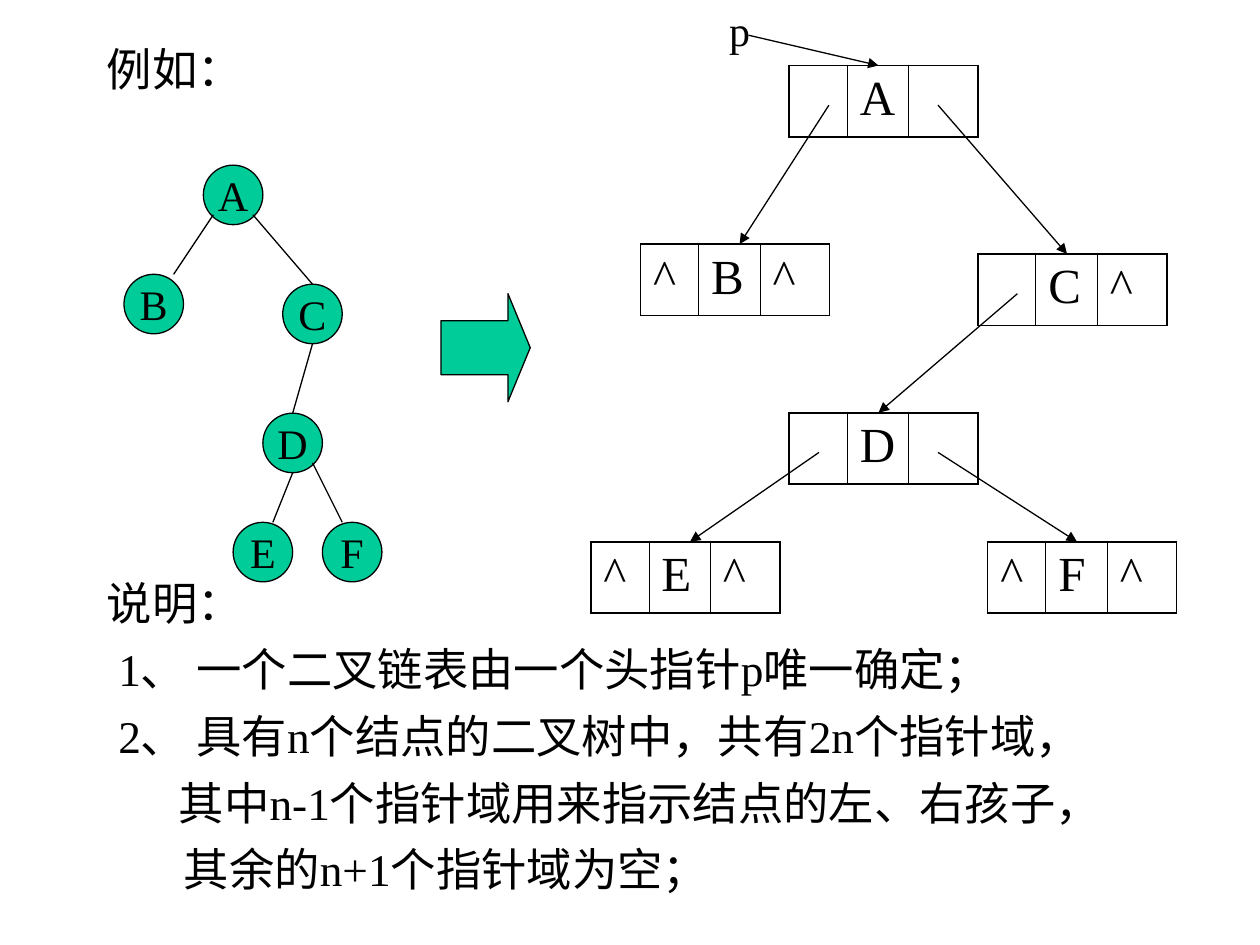
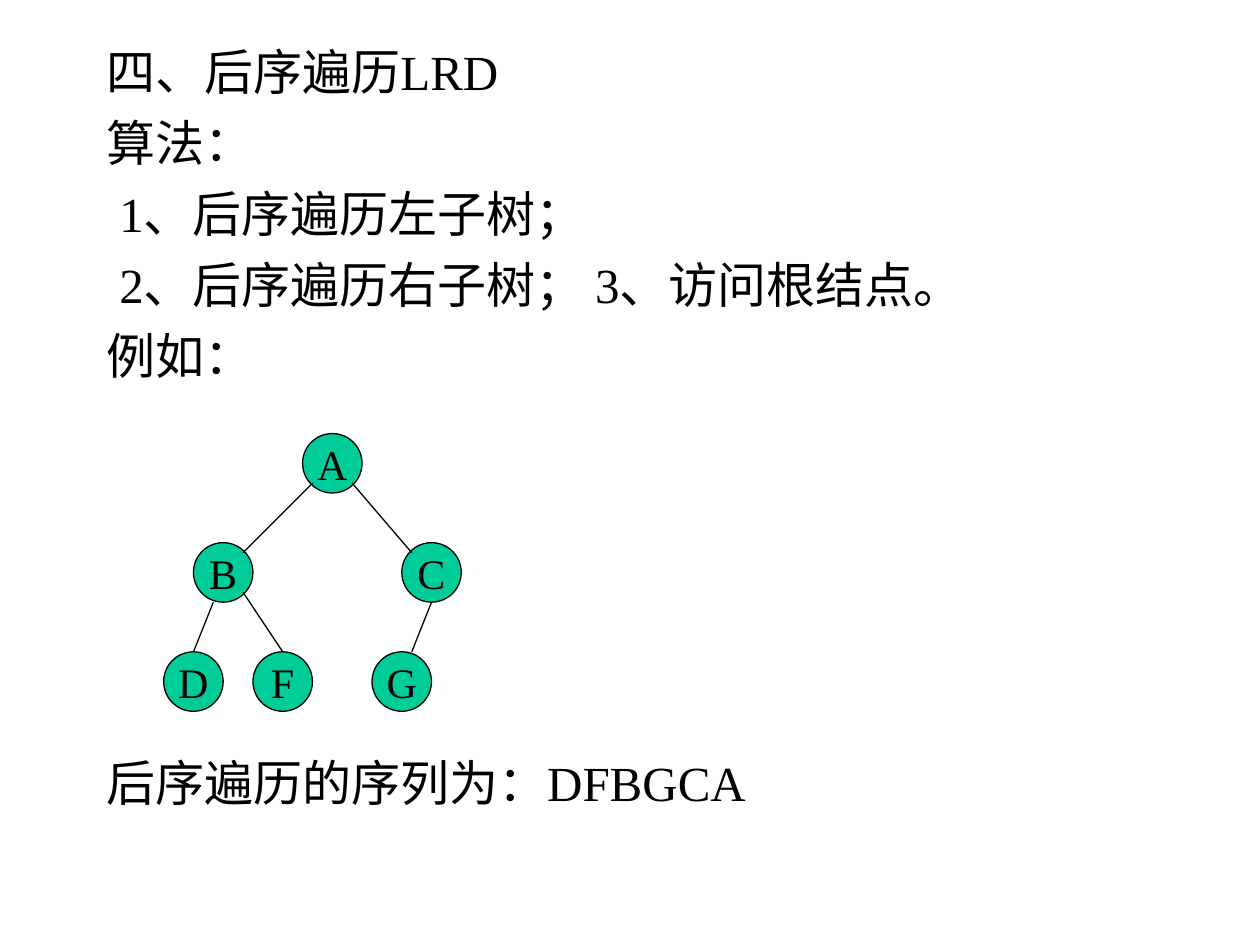
from dataclasses import dataclass

from lxml.etree import SubElement
from pptx import Presentation
from pptx.dml.color import RGBColor
from pptx.enum.lang import MSO_LANGUAGE_ID as Lang
from pptx.enum.shapes import MSO_CONNECTOR as Connector, MSO_SHAPE as Shape
from pptx.enum.text import MSO_ANCHOR as Anchor, MSO_AUTO_SIZE as AutoSize, PP_ALIGN as Align
from pptx.oxml.ns import qn
from pptx.util import Cm, Pt


@dataclass(frozen=True)
class Theme:
    font: str = "Times New Roman"
    ink: RGBColor = RGBColor(0x00, 0x00, 0x00)
    accent: RGBColor = RGBColor(0x00, 0xCC, 0x99)
    compact_size: float = 25.9
    text_size: float = 28
    node_size: float = 24
    para_gap: float = 7
    line: float = 0.75
    outer_border: float = 1.08
    inner_border: float = 0.45


THEME = Theme()
NODE = 1.2
TOP_CENTRE = (0.6, 0)
CELL_WIDTHS = (1.17, 1.24, 1.4)
CELL_HEIGHT = 1.44

LINK_TREE = {"A": (1.6, 0), "B": (0, 2.2), "C": (3.2, 2.4),
             "D": (2.8, 5), "E": (2.2, 7.2), "F": (4, 7.2)}
LINK_TREE_EDGES = [("A", (0.2, 1), "B", (1, 0)),
                   ("A", (1, 1), "C", TOP_CENTRE),
                   ("C", (0.6, 1.2), "D", TOP_CENTRE),
                   ("D", (0.6, 1.2), "E", (0.8, 0)),
                   ("D", (1, 1), "F", (0.4, 0))]
RECORDS = {"A": (4, 0, "", ""), "B": (1, 3.6, "^", "^"), "C": (7.8, 3.8, "", "^"),
           "D": (4, 7, "", ""), "E": (0, 9.6, "^", "^"), "F": (8, 9.6, "^", "^")}
POINTERS = [("A", 0.8, "B", 2), ("A", 3, "C", 1.8), ("C", 0.8, "D", 1.8),
            ("D", 0.6, "E", 2), ("D", 3, "F", 1.8)]
ORDER_TREE = {"A": (2.8, 0), "B": (0.6, 2.2), "C": (4.8, 2.2),
              "D": (0, 4.4), "F": (1.8, 4.4), "G": (4.2, 4.4)}
ORDER_TREE_EDGES = [("A", (0.2, 1), "B", (1, 0.2)),
                    ("A", (1, 1), "C", (0.2, 0.2)),
                    ("B", (0.4, 1.2), "D", TOP_CENTRE),
                    ("B", (1, 1), "F", TOP_CENTRE),
                    ("C", (0.6, 1.2), "G", (0.8, 0))]


def style_runs(p, size):
    for r in p.runs:
        r.font.name = THEME.font
        r.font.size = Pt(size)
        r.font.color.rgb = THEME.ink
        r.font.language_id = Lang.SIMPLIFIED_CHINESE


def place(sp, left, top, width, height):
    sp.left, sp.top, sp.width, sp.height = Cm(left), Cm(top), Cm(width), Cm(height)


def outline(sp):
    sp.line.color.rgb = THEME.ink
    sp.line.width = Pt(THEME.line)


def add_filled(slide, kind, left, top, width, height):
    sp = slide.shapes.add_shape(kind, Cm(left), Cm(top), Cm(width), Cm(height))
    sp.shadow.inherit = False
    sp.fill.solid()
    sp.fill.fore_color.rgb = THEME.accent
    outline(sp)
    return sp


def add_line(slide, start, end, arrow=False):
    line = slide.shapes.add_connector(Connector.STRAIGHT, *map(Cm, start + end))
    outline(line)
    if arrow:
        SubElement(line._element.spPr.find(qn("a:ln")), qn("a:tailEnd"), type="triangle")
    SubElement(line._element.spPr, qn("a:effectLst"))
    return line


def add_title(slide, text, size):
    title = slide.shapes.title
    place(title, 1.9, 0.71, 22.6, 1.4)
    tf = title.text_frame
    tf.text = text
    tf.auto_size = AutoSize.NONE
    tf.vertical_anchor = Anchor.TOP
    tf.paragraphs[0].alignment = Align.LEFT
    style_runs(tf.paragraphs[0], size)


def add_body(slide, box, lines, size):
    body = slide.placeholders[1]
    place(body, *box)
    tf = body.text_frame
    tf.auto_size = AutoSize.NONE
    tf.text = "\n".join(text for text, _, _ in lines)
    for i, (p, (_, indent, gap)) in enumerate(zip(tf.paragraphs, lines)):
        pPr = p._p.get_or_add_pPr()
        pPr.set("marL", str(Cm(indent)))
        pPr.set("indent", "0")
        SubElement(pPr, qn("a:buNone"))
        p.space_before = Pt(gap if i else 0)
        style_runs(p, size)


def add_tree(slide, left, top, nodes, edges):
    circles = {}
    for name, (x, y) in nodes.items():
        sp = add_filled(slide, Shape.OVAL, left + x, top + y, NODE, NODE)
        tf = sp.text_frame
        tf.text = name
        tf.word_wrap = False
        tf.vertical_anchor = Anchor.MIDDLE
        tf.paragraphs[0].alignment = Align.CENTER
        style_runs(tf.paragraphs[0], THEME.node_size)
        circles[name] = sp

    def point(name, offset):
        x, y = nodes[name]
        return left + x + offset[0], top + y + offset[1]

    for parent, start, child, end in edges:
        line = add_line(slide, point(parent, start), point(child, end))
        if end == TOP_CENTRE:
            line.end_connect(circles[child], 0)


def set_border(tcPr, side, width):
    ln = SubElement(tcPr, qn(f"a:{side}"), w=str(Pt(width)))
    SubElement(SubElement(ln, qn("a:solidFill")), qn("a:srgbClr"), val=str(THEME.ink))


def add_record(slide, left, top, texts):
    frame = slide.shapes.add_table(1, len(texts), Cm(left), Cm(top),
                                   Cm(sum(CELL_WIDTHS)), Cm(CELL_HEIGHT))
    table = frame.table
    table.first_row = table.horz_banding = False
    table.rows[0].height = Cm(CELL_HEIGHT)
    last = len(texts) - 1
    for i, text in enumerate(texts):
        table.columns[i].width = Cm(CELL_WIDTHS[i])
        cell = table.cell(0, i)
        cell.text = text
        style_runs(cell.text_frame.paragraphs[0], THEME.text_size)
        tcPr = cell._tc.get_or_add_tcPr()
        outer_sides = {"lnT", "lnB"} | ({"lnL"} if i == 0 else set()) | ({"lnR"} if i == last else set())
        for side in ("lnL", "lnR", "lnT", "lnB"):
            set_border(tcPr, side, THEME.outer_border if side in outer_sides else THEME.inner_border)
        cell.fill.background()


def add_linked_list(slide, left, top):
    for name, (x, y, left_link, right_link) in RECORDS.items():
        add_record(slide, left + x, top + y, (left_link, name, right_link))

    def point(name, dx, dy=0):
        x, y = RECORDS[name][:2]
        return left + x + dx, top + y + dy

    for parent, start, child, end in POINTERS:
        add_line(slide, point(parent, start, 0.8), point(child, end), arrow=True)

    head = slide.shapes.add_textbox(Cm(left + 2.54), Cm(top - 1.35), Cm(0.91), Cm(1.27))
    tf = head.text_frame
    tf.word_wrap = False
    tf.auto_size = AutoSize.SHAPE_TO_FIT_TEXT
    tf.text = "p"
    style_runs(tf.paragraphs[0], THEME.node_size)
    add_line(slide, (left + 3.18, top - 0.61), point("A", 1.8), arrow=True)


def build_linked_list_slide(prs):
    slide = prs.slides.add_slide(prs.slide_layouts[1])
    gap = THEME.para_gap
    add_title(slide, "例如：", THEME.compact_size)
    add_body(slide, (1.9, 11.46, 22.6, 7.5), [
        ("说明：", 0, gap),
        ("1、 一个二叉链表由一个头指针p唯一确定；", 0.23, gap),
        ("2、 具有n个结点的二叉树中，共有2n个指针域，", 0.23, gap),
        ("其中n-1个指针域用来指示结点的左、右孩子，", 1.45, gap),
        ("其余的n+1个指针域为空；", 1.55, gap),
    ], THEME.compact_size)
    add_tree(slide, 2.5, 3.33, LINK_TREE, LINK_TREE_EDGES)
    add_linked_list(slide, 11.91, 1.32)
    arrow = add_filled(slide, Shape.RIGHT_ARROW, 8.89, 5.92, 1.8, 2.18)
    arrow.adjustments[0] = 0.5
    arrow.adjustments[1] = 0.25


def build_postorder_slide(prs):
    slide = prs.slides.add_slide(prs.slide_layouts[1])
    gap = THEME.para_gap
    add_title(slide, "四、后序遍历LRD", THEME.text_size)
    add_body(slide, (1.9, 2.14, 21.6, 14.7), [
        ("算法：", 0, gap),
        ("1、后序遍历左子树；", 0.25, gap),
        ("2、后序遍历右子树； 3、访问根结点。", 0.25, gap),
        ("例如：", 0, gap),
        ("后序遍历的序列为：DFBGCA", 0, 210),
    ], THEME.text_size)
    add_tree(slide, 3.3, 8.74, ORDER_TREE, ORDER_TREE_EDGES)


def main():
    prs = Presentation()
    prs.slide_width, prs.slide_height = Cm(25.4), Cm(19.05)
    build_linked_list_slide(prs)
    build_postorder_slide(prs)
    prs.save("out.pptx")


if __name__ == "__main__":
    main()
